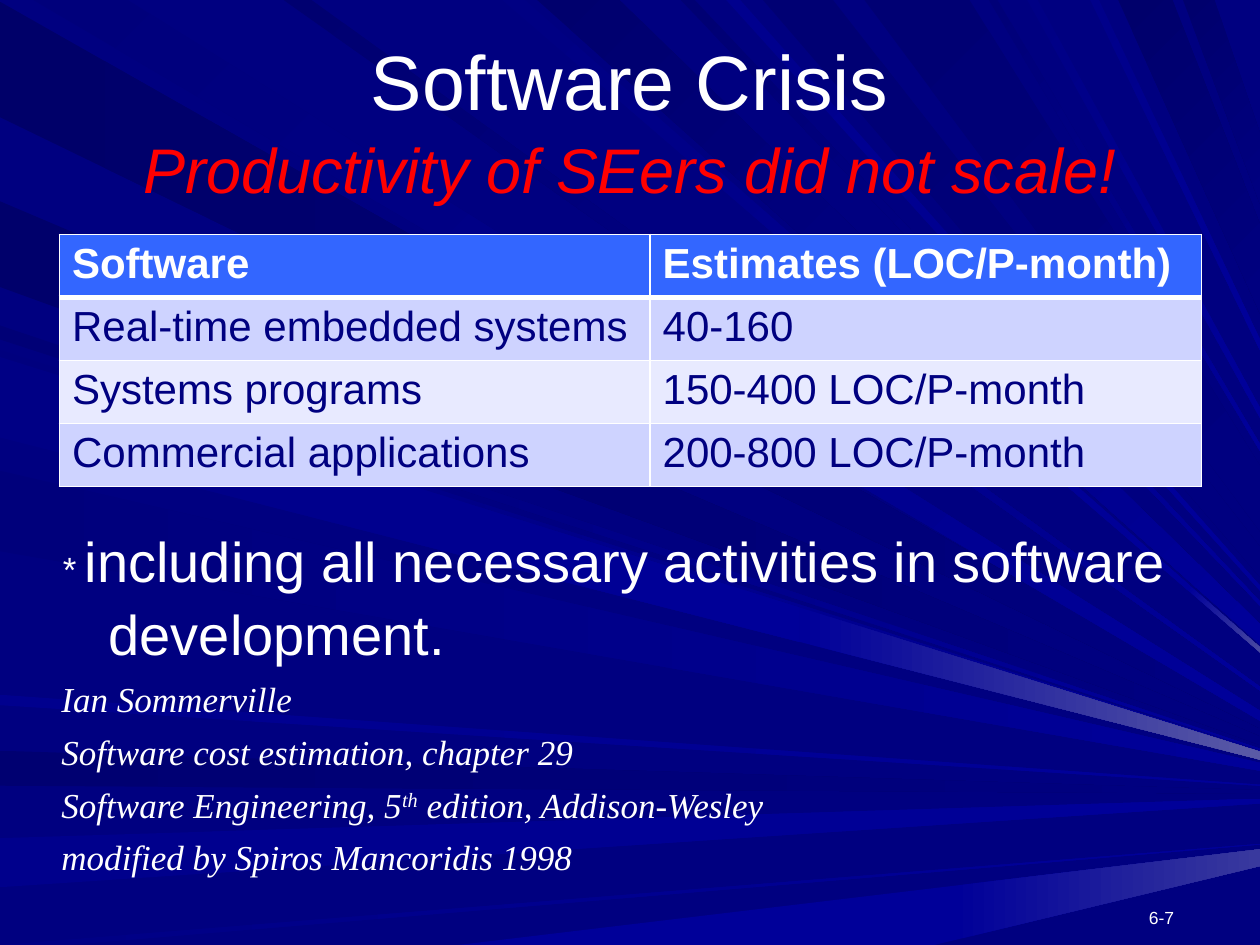
from pptx import Presentation
from pptx.dml.color import RGBColor
from pptx.enum.text import MSO_ANCHOR as Anchor, PP_ALIGN as Align
from pptx.oxml import parse_xml
from pptx.oxml.ns import nsdecls
from pptx.util import Pt

WIDTH, HEIGHT = 720, 540
DIM, BRIGHT = "000080", "000099"

# Rays by the slide edge they start from: first and last position on it, start colour, end colour
RAYS = {
    "left": [
        (1, 67, "000069", DIM), (429, 449, "000071", DIM), (479, 507, "00008C", BRIGHT),
        (186, 194, "000076", BRIGHT), (115, 164, "00006B", DIM), (200, 246, "00007E", BRIGHT),
        (269, 315, "00007B", BRIGHT), (397, 403, "00008E", BRIGHT), (204, 250, "000085", BRIGHT),
    ],
    "bottom": [(0, 39, "000085", BRIGHT), (262, 534, BRIGHT, BRIGHT)],
    "top": [
        (19, 73, "00007B", BRIGHT), (287, 300, "000083", BRIGHT), (307, 354, "00006D", BRIGHT),
        (389, 397, "000073", BRIGHT), (436, 476, "000073", DIM), (639, 670, "00006B", DIM),
        (676, 694, "00006D", DIM), (162, 178, "000070", BRIGHT), (415, 423, "00008E", BRIGHT),
        (494, 554, "000073", DIM), (565, 570, "000078", BRIGHT), (587, 593, "000085", BRIGHT),
        (623, 628, "00008A", BRIGHT),
    ],
}
# Rays that glow near the right edge: where the glow begins, and its colour
GLOWS = {("left", 204): (457, "5A5AA6"), ("bottom", 262): (544, "39399E"), ("top", 287): (680, "4A4AA1")}

ESTIMATES = [
    ("Software", "Estimates (LOC/P-month)"),
    ("Real-time embedded systems", "40-160"),
    ("Systems programs", "150-400 LOC/P-month"),
    ("Commercial applications", "200-800 LOC/P-month"),
]

CITATION = {"size": 20, "name": "Times New Roman", "italic": True}
NOTES = [
    [("* ", {"size": 20, "italic": True}),
     ("including all necessary activities in software development.", {"size": 32})],
    [("Ian Sommerville", CITATION)],
    [("Software cost estimation, chapter 29", CITATION)],
    [("Software Engineering, 5", CITATION), ("th", {**CITATION, "raised": True}),
     (" edition, Addison-Wesley", CITATION)],
    [("modified by Spiros Mancoridis 1998", CITATION)],
]


def rgb(value):
    return RGBColor.from_string(value)


def ray_side(edge, position):
    """Return the start of a ray's side and the point beyond the slide it aims at."""
    if edge == "left":
        return (0, position), (798, 454)
    if edge == "bottom":
        return (position, HEIGHT), (798, 476)
    return (position, 0), (790 + 0.085 * position, 454)


def point_at(side, x):
    (x0, y0), (x1, y1) = side
    return x, y0 + (y1 - y0) * (x - x0) / (x1 - x0)


class Deck:
    """Style of the deck and the slide being built."""
    font = "Arial"
    white, navy, red, header = "FFFFFF", "000080", "FF0000", "3366FF"
    bands = ("CED3FF", "E8EAFF")

    def __init__(self):
        self.prs = Presentation()
        self.prs.slide_width, self.prs.slide_height = Pt(WIDTH), Pt(HEIGHT)
        self.slide = self.prs.slides.add_slide(self.prs.slide_layouts[5])
        background = self.slide.background.fill
        background.solid()
        background.fore_color.rgb = rgb(self.navy)

    def style(self, run, size, color=None, name=None, bold=False, italic=False, raised=False):
        font = run.font
        font.size, font.name = Pt(size), name or self.font
        font.bold, font.italic = bold, italic
        font.color.rgb = rgb(color or self.white)
        if raised:
            run._r.get_or_add_rPr().set("baseline", "30000")

    def beam(self, group, corners, start, end, angle):
        first, *rest = [(Pt(x), Pt(y)) for x, y in corners]
        builder = group.shapes.build_freeform(*first)
        builder.add_line_segments(rest, close=True)
        beam = builder.convert_to_shape()
        beam.shadow.inherit = False
        beam.line.fill.background()
        if start == end:
            beam.fill.solid()
            beam.fill.fore_color.rgb = rgb(start)
            return
        beam.fill.gradient()
        beam.fill.gradient_angle = -angle % 360
        for stop, color in zip(beam.fill.gradient_stops, (start, end)):
            stop.color.rgb = rgb(color)

    def rays(self):
        group = self.slide.shapes.add_group_shape()
        for edge, rays in RAYS.items():
            angle = 45 if edge == "top" else 0
            for first, last, start, end in rays:
                sides = [ray_side(edge, first), ray_side(edge, last)]
                split, glow = GLOWS.get((edge, first), (WIDTH, None))
                near, far = [side[0] for side in sides], [point_at(side, split) for side in sides]
                self.beam(group, near + far[::-1], start, end, angle)
                if glow:
                    rim = [point_at(side, WIDTH) for side in sides]
                    self.beam(group, far + rim[::-1], end, glow, angle)

    def title(self, heading, claim, box):
        title = self.slide.shapes.title
        title.element.getparent().append(title.element)  # in front of the rays
        title.left, title.top, title.width, title.height = map(Pt, box)
        frame = title.text_frame
        frame.text = f"{heading}\v{claim}"
        frame.vertical_anchor = Anchor.MIDDLE
        line = frame.paragraphs[0]
        line.alignment, line.line_spacing = Align.CENTER, 1.07
        heading_run, claim_run = line.runs
        self.style(heading_run, 44)
        self.style(claim_run, 36, self.red, italic=True)

    def text(self, paragraphs, box, hanging=0, spacing=1.0, gap=0, align=Align.LEFT, anchor=Anchor.TOP):
        frame = self.slide.shapes.add_textbox(*map(Pt, box)).text_frame
        frame.word_wrap, frame.vertical_anchor = True, anchor
        for index, parts in enumerate(paragraphs):
            paragraph = frame.add_paragraph() if index else frame.paragraphs[0]
            paragraph.alignment, paragraph.line_spacing = align, spacing
            paragraph.space_before = Pt(gap if index else 0)
            if hanging:
                indent = paragraph._p.get_or_add_pPr()
                indent.set("marL", str(Pt(hanging)))
                indent.set("indent", str(-Pt(hanging)))
            for words, look in parts:
                run = paragraph.add_run()
                run.text = words
                self.style(run, **look)

    def borders(self, cell, widths):
        """Draw the left, right, top and bottom edges in the given widths."""
        properties = cell._tc.get_or_add_tcPr()
        for index, (side, width) in enumerate(zip("LRTB", widths)):
            properties.insert(index, parse_xml(
                f'<a:ln{side} {nsdecls("a")} w="{Pt(width)}"><a:solidFill>'
                f'<a:srgbClr val="{self.white}"/></a:solidFill></a:ln{side}>'))

    def table(self, rows, left, top, widths, row_height):
        table = self.slide.shapes.add_table(
            len(rows), len(widths), Pt(left), Pt(top), Pt(sum(widths)), Pt(row_height * len(rows))).table
        for column, width in zip(table.columns, widths):
            column.width = Pt(width)
        for r, values in enumerate(rows):
            is_header = r == 0
            for c, value in enumerate(values):
                cell = table.cell(r, c)
                cell.text_frame.text = value
                self.style(cell.text_frame.paragraphs[0].runs[0], 24,
                           self.white if is_header else self.navy, bold=is_header)
                cell.fill.solid()
                cell.fill.fore_color.rgb = rgb(self.header if is_header else self.bands[(r - 1) % 2])
                self.borders(cell, (1, 1, 3 if r == 1 else 1, 3 if is_header else 1))


def main():
    deck = Deck()
    deck.rays()
    deck.title("Software Crisis", "Productivity of SEers did not scale!", (36, 21.6, 648, 90))
    deck.text(NOTES, (28, 293.8, 658, 210), hanging=27, spacing=1.09, gap=4)
    deck.text([[("6-7", {"size": 10})]], (630, 509.8, 48, 24), align=Align.RIGHT, anchor=Anchor.BOTTOM)
    deck.table(ESTIMATES, 34, 134, (337.5, 315), 34)
    deck.prs.save("out.pptx")


if __name__ == "__main__":
    main()
